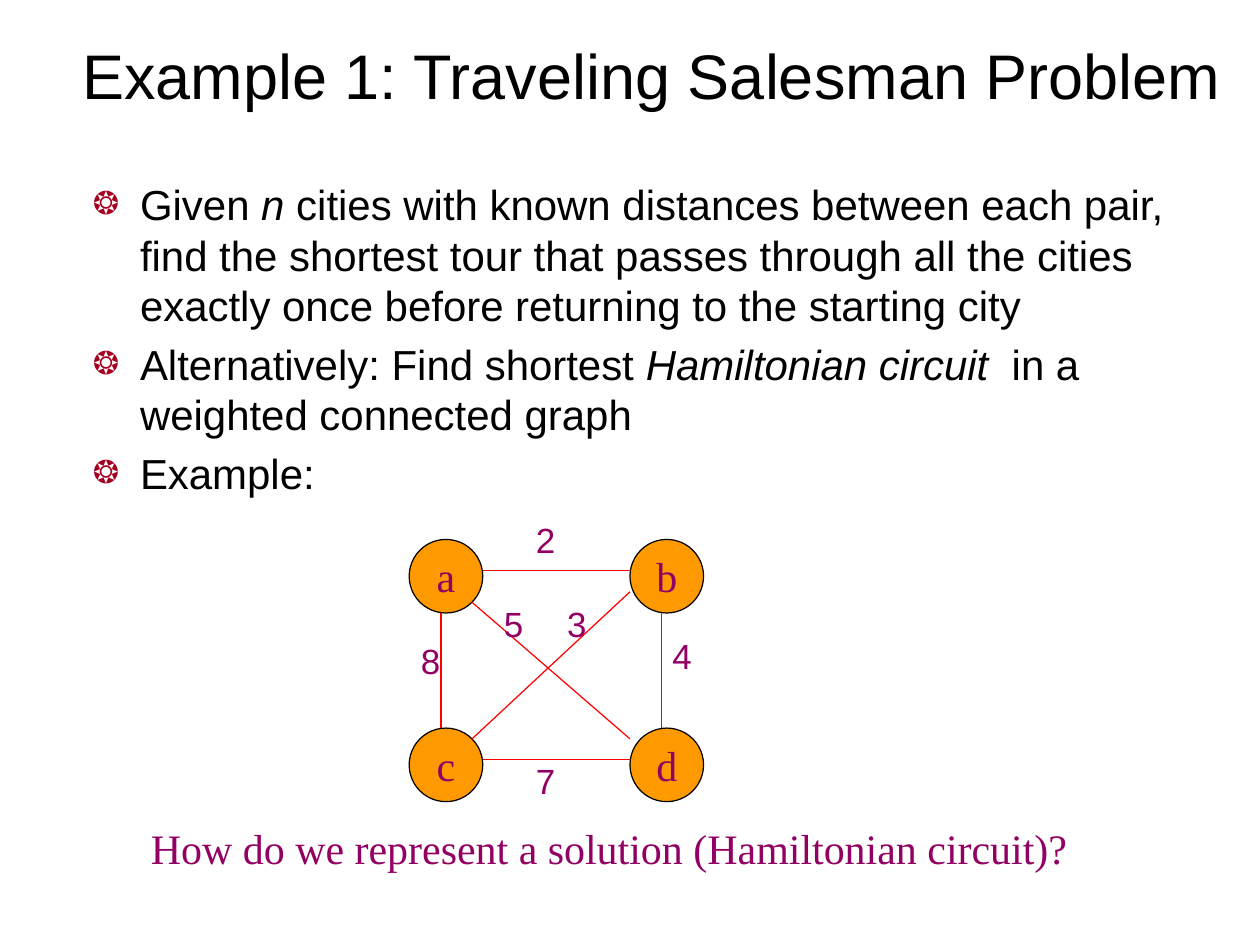
from lxml import etree
from pptx import Presentation
from pptx.dml.color import RGBColor
from pptx.enum.shapes import MSO_CONNECTOR, MSO_SHAPE
from pptx.enum.text import MSO_ANCHOR, MSO_AUTO_SIZE, PP_ALIGN
from pptx.oxml.ns import qn
from pptx.util import Cm, Pt

OVAL = MSO_SHAPE.OVAL
STRAIGHT = MSO_CONNECTOR.STRAIGHT
TOP, MIDDLE, BOTTOM = MSO_ANCHOR.TOP, MSO_ANCHOR.MIDDLE, MSO_ANCHOR.BOTTOM
NO_AUTOFIT = MSO_AUTO_SIZE.NONE
LEFT, CENTER = PP_ALIGN.LEFT, PP_ALIGN.CENTER

BLACK = RGBColor(0x00, 0x00, 0x00)
PURPLE = RGBColor(0x92, 0x00, 0x64)
ORANGE = RGBColor(0xFF, 0x99, 0x00)
RED = RGBColor(0xFF, 0x00, 0x00)
CRIMSON = RGBColor(0xA5, 0x00, 0x21)

SANS, SERIF = "Arial", "Times New Roman"
NODE = 2.11
COLUMN_STEP, ROW_STEP = 6.33, 5.41
LABEL_WIDTH, LABEL_HEIGHT = 1.07, 1.47

POINTS = [
    [("Given ", False), ("n", True),
     (" cities with known distances between each pair, find the shortest tour "
      "that passes through all the cities exactly once before returning to the "
      "starting city", False)],
    [("Alternatively: Find shortest ", False), ("Hamiltonian circuit", True),
     ("  in a weighted connected graph", False)],
    [("Example:", False)],
]
CITIES = [("a", 0, 0), ("b", 1, 0), ("c", 0, 1), ("d", 1, 1)]
ROADS = [
    (NODE, 0.9, COLUMN_STEP, 0.9),
    (0.91, NODE, 0.91, ROW_STEP),
    (NODE, ROW_STEP + 0.9, COLUMN_STEP, ROW_STEP + 0.9),
    (COLUMN_STEP + 0.91, NODE, COLUMN_STEP + 0.91, ROW_STEP),
    (1.8, 1.8, COLUMN_STEP, 5.72),
    (COLUMN_STEP, 1.5, 1.8, 5.72),
]
DISTANCES = [("8", 0.08, 2.74), ("2", 3.38, -0.71), ("7", 3.38, 6.2),
             ("5", 2.46, 1.7), ("3", 4.27, 1.7), ("4", 7.29, 2.59)]


def place(part, left, top, width, height):
    part.left, part.top = Cm(left), Cm(top)
    part.width, part.height = Cm(width), Cm(height)


def write(frame, paragraphs, size, font=SANS, color=BLACK, align=LEFT,
          anchor=TOP, wrap=True, gap=0, bullet=None):
    frame.word_wrap = wrap
    frame.auto_size = NO_AUTOFIT
    frame.vertical_anchor = anchor
    if isinstance(paragraphs, str):
        paragraphs = [[(paragraphs, False)]]
    for index, pieces in enumerate(paragraphs):
        paragraph = frame.add_paragraph() if index else frame.paragraphs[0]
        if bullet:
            add_bullet(paragraph, bullet)
        paragraph.alignment = align
        paragraph.space_before = Pt(gap if index else 0)
        for text, italic in pieces:
            run = paragraph.add_run()
            run.text = text
            run.font.name = font
            run.font.size = Pt(size)
            run.font.italic = italic
            run.font.color.rgb = color


def add_bullet(paragraph, symbol):
    properties = paragraph._p.get_or_add_pPr()
    properties.set("marL", str(Cm(1.35)))
    properties.set("indent", str(-Cm(1.35)))
    color = etree.SubElement(properties, qn("a:buClr"))
    etree.SubElement(color, qn("a:srgbClr"), val=str(CRIMSON))
    etree.SubElement(properties, qn("a:buSzPct"), val="75000")
    etree.SubElement(properties, qn("a:buChar"), char=symbol)


def add_title(slide, left, top, width, height):
    title = slide.shapes.title
    place(title, left, top, width, height)
    write(title.text_frame, "Example 1: Traveling Salesman Problem", 51.2,
          anchor=BOTTOM)


def add_points(slide, left, top, width, height):
    body = slide.placeholders[1]
    place(body, left, top, width, height)
    write(body.text_frame, POINTS, 34.1, gap=6.8, bullet="❂")


def add_city(slide, name, left, top):
    city = slide.shapes.add_shape(OVAL, Cm(left), Cm(top), Cm(NODE), Cm(NODE))
    city.shadow.inherit = False
    city.fill.solid()
    city.fill.fore_color.rgb = ORANGE
    city.line.color.rgb = BLACK
    city.line.width = Pt(1)
    write(city.text_frame, name, 34.1, font=SERIF, color=PURPLE, align=CENTER,
          anchor=MIDDLE, wrap=False)


def add_road(slide, x1, y1, x2, y2):
    road = slide.shapes.add_connector(STRAIGHT, Cm(x1), Cm(y1), Cm(x2), Cm(y2))
    road.line.color.rgb = RED
    road.line.width = Pt(1)
    etree.SubElement(road._element.spPr, qn("a:effectLst"))


def add_text(slide, text, left, top, width, height, **style):
    box = slide.shapes.add_textbox(Cm(left), Cm(top), Cm(width), Cm(height))
    write(box.text_frame, text, color=PURPLE, align=CENTER, **style)


def add_graph(slide, left, top):
    for name, column, row in CITIES:
        add_city(slide, name, left + column * COLUMN_STEP, top + row * ROW_STEP)
    for x1, y1, x2, y2 in ROADS:
        add_road(slide, left + x1, top + y1, left + x2, top + y2)
    for distance, x, y in DISTANCES:
        add_text(slide, distance, left + x, top + y, LABEL_WIDTH, LABEL_HEIGHT,
                 size=28.4, wrap=False)


def main():
    deck = Presentation()
    deck.slide_width, deck.slide_height = Cm(36.12), Cm(27.1)
    slide = deck.slides.add_slide(deck.slide_layouts[1])
    add_title(slide, 2.11, 0.61, 34.01, 2.72)
    add_points(slide, 2.41, 5, 32.82, 19.38)
    add_graph(slide, 11.73, 15.47)
    add_text(slide, "How do we represent a solution (Hamiltonian circuit)?",
             3.91, 23.47, 27.1, 1.73, size=34.1, font=SERIF)
    deck.save("out.pptx")


if __name__ == "__main__":
    main()
